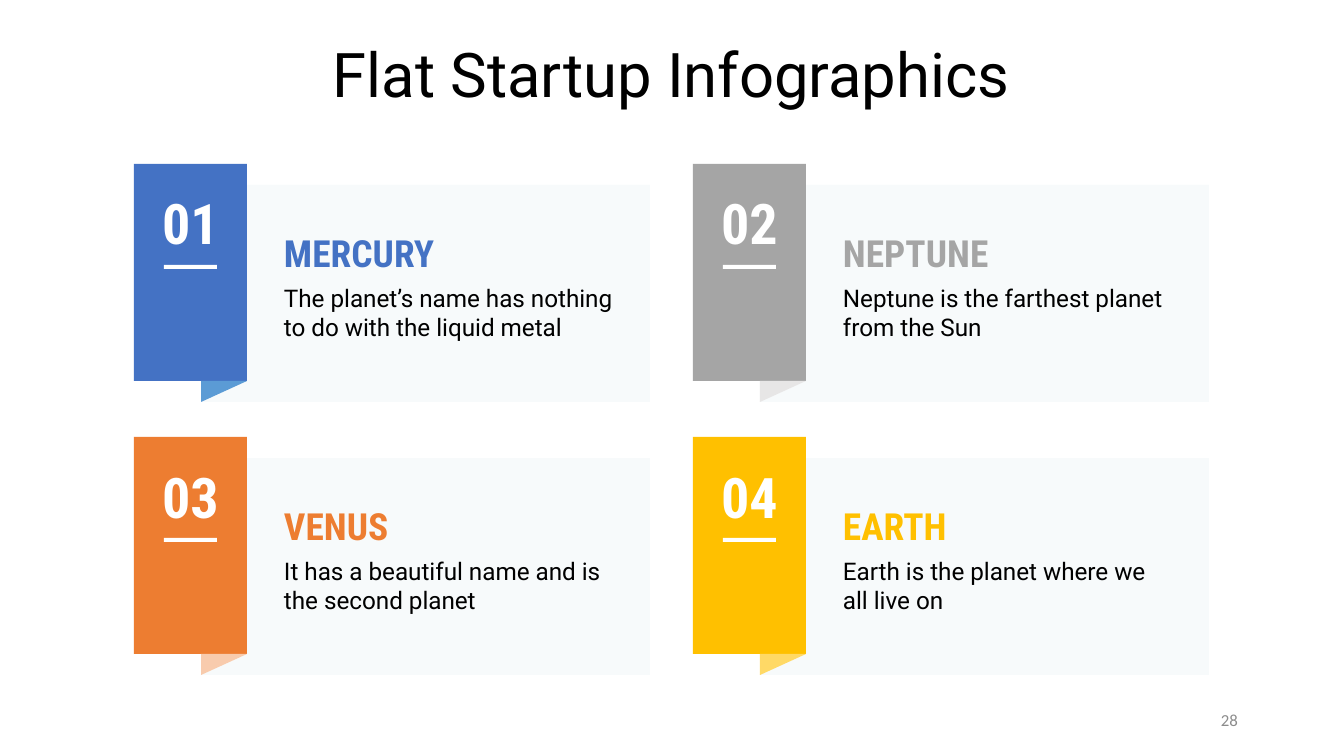
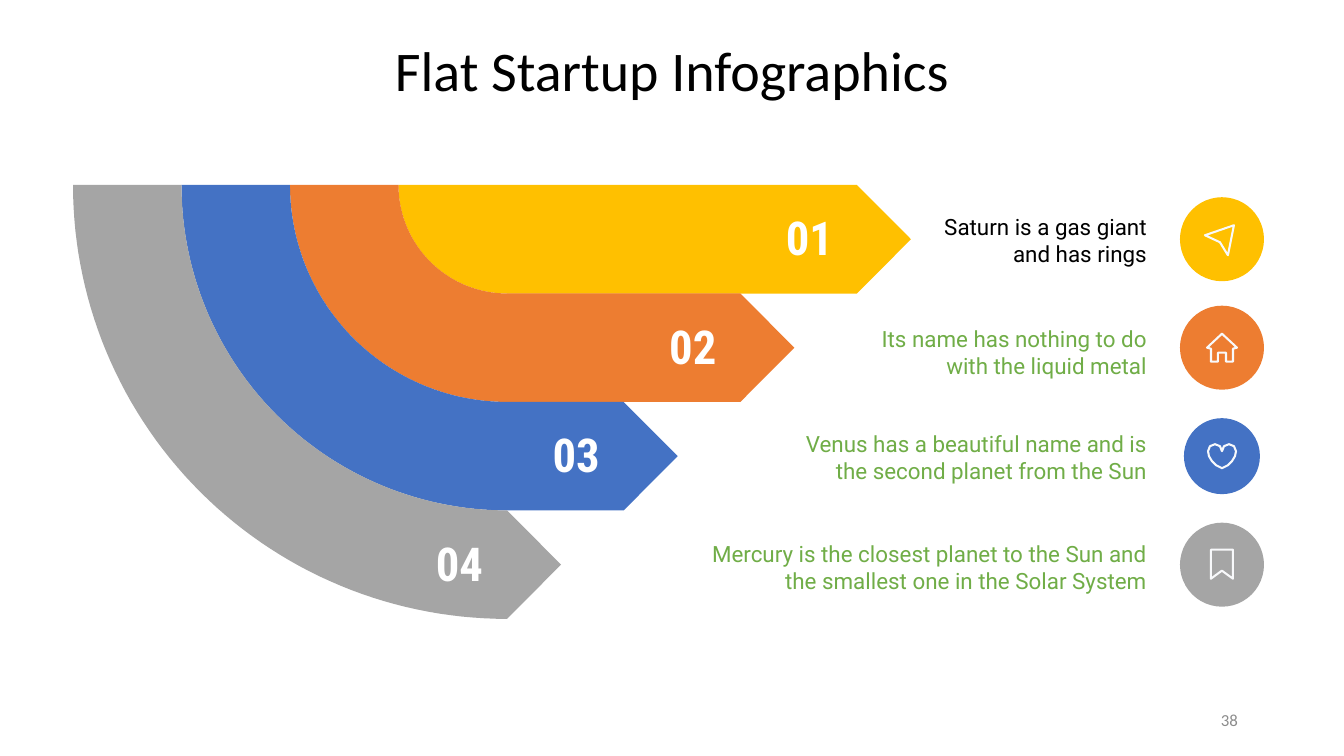
import math

import pptx
import pptx.dml.color
import pptx.enum.shapes
import pptx.enum.text
import pptx.oxml.ns
import pptx.util
from lxml import etree

PX = 914400 / 134.4
SLIDE_WIDTH, SLIDE_HEIGHT = 1344, 756
INSET = 13

BLACK, WHITE, GREEN = "000000", "FFFFFF", "70AD47"
BLUE, GRAY, ORANGE, YELLOW = "4472C4", "A5A5A5", "ED7D31", "FFC000"
PANEL, ICON_LINE, PAGE_GRAY = "F7FAFB", "F8F9FB", "8C8C8C"

LEFT = pptx.enum.text.PP_ALIGN.LEFT
CENTER = pptx.enum.text.PP_ALIGN.CENTER
RIGHT = pptx.enum.text.PP_ALIGN.RIGHT

STYLES = {
    "title": {"name": "Roboto", "size": 33},
    "plain title": {"name": "Calibri", "size": 30},
    "page": {"name": "Calibri", "size": 9},
    "card number": {"name": "Roboto Condensed", "size": 30, "bold": True},
    "card heading": {"name": "Roboto Condensed", "size": 20, "bold": True},
    "card body": {"name": "Roboto", "size": 13},
    "band number": {"name": "Roboto Condensed", "size": 25, "bold": True},
    "band body": {"name": "Roboto", "size": 12},
}

# number, heading, text, tab colour, fold colour
CARDS = [
    ("01", "MERCURY", "The planet’s name has nothing to do with the liquid metal",
     BLUE, "5B9BD5"),
    ("02", "NEPTUNE", "Neptune is the farthest planet from the Sun",
     GRAY, "E7E6E6"),
    ("03", "VENUS", "It has a beautiful name and is the second planet",
     ORANGE, "F8CBAD"),
    ("04", "EARTH", "Earth is the planet where we all live on",
     YELLOW, "FFD966"),
]

# Icon outlines, measured from the centre of their disc
PLANE = [(12, -14), (6, 16), (-2, 3), (-17, -4)]
HALF_HOUSE = [(0, -14), (15, 0), (11, 1), (11, 14), (4, 14), (4, 5)]
HALF_HEART = [(0, -5), (2, -10), (7, -12), (12, -10), (14, -5), (13, 0),
              (10, 5), (6, 9), (0, 12)]
HALF_BOOKMARK = [(0, -15), (11, -15), (11, 14), (0, 6)]


def mirrored(half):
    return half + [(-x, y) for x, y in reversed(half)]


# number, text, text colour, text top, text width, band colour, disc size, icon
BANDS = [
    ("01", "Saturn is a gas giant and has rings",
     BLACK, 200, 249, YELLOW, 84, PLANE),
    ("02", "Its name has nothing to do with the liquid metal",
     GREEN, 312, 312, ORANGE, 84, mirrored(HALF_HOUSE)),
    ("03", "Venus has a beautiful name and is the second planet from the Sun",
     GREEN, 417, 387, BLUE, 76, mirrored(HALF_HEART)),
    ("04", "Mercury is the closest planet to the Sun and the smallest one in the Solar System",
     GREEN, 527, 476, GRAY, 84, mirrored(HALF_BOOKMARK)),
]


def emu(length):
    return round(length * PX)


def color(value):
    return pptx.dml.color.RGBColor.from_string(value)


def fill_shape(shape, fill):
    shape.shadow.inherit = False
    shape.fill.solid()
    shape.fill.fore_color.rgb = color(fill)
    shape.line.fill.background()


def add_preset(slide, kind, box, fill):
    shape = slide.shapes.add_shape(kind, *map(emu, box))
    fill_shape(shape, fill)


def add_outline(slide, points):
    corners = [(emu(x), emu(y)) for x, y in points]
    builder = slide.shapes.build_freeform(*corners[0])
    builder.add_line_segments(corners[1:], close=True)
    return builder.convert_to_shape()


def add_polygon(slide, points, fill):
    fill_shape(add_outline(slide, points), fill)


def add_text(slide, box, text, style, ink, align=LEFT, inset_y=INSET,
             anchor=pptx.enum.text.MSO_ANCHOR.TOP, spacing=None):
    frame = slide.shapes.add_textbox(*map(emu, box)).text_frame
    layout = {"word_wrap": True, "vertical_anchor": anchor,
              "margin_left": emu(INSET), "margin_right": emu(INSET),
              "margin_top": emu(inset_y), "margin_bottom": emu(inset_y)}
    for attribute, value in layout.items():
        setattr(frame, attribute, value)
    paragraph = frame.paragraphs[0]
    paragraph.alignment = align
    paragraph.line_spacing = spacing
    run = paragraph.add_run()
    run.text = text
    run.font.color.rgb = color(ink)
    font = STYLES[style] | {"size": pptx.util.Pt(STYLES[style]["size"])}
    for attribute, value in font.items():
        setattr(run.font, attribute, value)


def add_frame(deck, title_style, title_box, page):
    """Start a slide with its title and page number."""
    slide = deck.slides.add_slide(deck.slide_layouts[6])
    add_text(slide, title_box, "Flat Startup Infographics", title_style, BLACK,
             CENTER, spacing=0.9)
    add_text(slide, (949, 700, 302, 40), page, "page", PAGE_GRAY, RIGHT,
             inset_y=7, anchor=pptx.enum.text.MSO_ANCHOR.MIDDLE)
    return slide


def add_card(slide, left, top, card):
    number, heading, body, tab_color, fold_color = card
    tab_width, tab_height = 113, 217
    tab_right, tab_bottom = left + tab_width, top + tab_height
    panel_right, panel_top, panel_bottom = left + 516, top + 21, top + 238
    fold_tip = (left + 67, panel_bottom)
    rectangle = pptx.enum.shapes.MSO_SHAPE.RECTANGLE

    add_polygon(slide, [(tab_right, panel_top), (tab_right, tab_bottom), fold_tip,
                        (panel_right, panel_bottom), (panel_right, panel_top)], PANEL)
    add_preset(slide, rectangle, (left, top, tab_width, tab_height), tab_color)
    add_polygon(slide, [(fold_tip[0], tab_bottom), fold_tip,
                        (tab_right, tab_bottom)], fold_color)
    add_preset(slide, rectangle, (left + 30, top + 101, 53, 4), WHITE)
    add_text(slide, (left, top + 12, tab_width, 112), number, "card number",
             WHITE, CENTER)
    add_text(slide, (left + 137, top + 53, 356, 62), heading, "card heading",
             tab_color)
    add_text(slide, (left + 137, top + 106, 356, 86), body, "card body", BLACK)


def cards_slide(deck):
    slide = add_frame(deck, "title", (255, 31, 833, 91), "28")
    for index, card in enumerate(CARDS):
        row, column = divmod(index, 2)
        add_card(slide, 134 + 559 * column, 164 + 273 * row, card)


def quarter_arc(center_x, center_y, radius, steps=60):
    """Points from the left of the centre round to straight below it."""
    angles = [math.pi / 2 * step / steps for step in range(steps + 1)]
    return [(center_x - radius * math.cos(angle), center_y + radius * math.sin(angle))
            for angle in angles]


def add_band(slide, center_x, top, inner, outer, end, number, fill):
    """Quarter ring that runs on into an arrow whose straight part stops at end."""
    tip = (end + 54, top + (inner + outer) / 2)
    points = quarter_arc(center_x, top, outer)
    points += [(end, top + outer), tip, (end, top + inner)]
    points += reversed(quarter_arc(center_x, top, inner))
    add_polygon(slide, points, fill)
    add_text(slide, (end - 95, top + inner + 11, 95, 108), number, "band number",
             WHITE, CENTER)


def add_icon(slide, center_x, center_y, size, fill, icon):
    add_preset(slide, pptx.enum.shapes.MSO_SHAPE.OVAL,
               (center_x - size / 2, center_y - size / 2, size, size), fill)
    symbol = add_outline(slide, [(center_x + x, center_y + y) for x, y in icon])
    symbol.shadow.inherit = False
    symbol.fill.background()
    symbol.line.color.rgb = color(ICON_LINE)
    symbol.line.width = pptx.util.Pt(1.1)
    etree.SubElement(symbol.line._get_or_add_ln(), pptx.oxml.ns.qn("a:round"))


def bands_slide(deck):
    slide = add_frame(deck, "plain title", (340, 30, 664, 91), "38")
    center_x, top, radius, reach = 507, 185, 434, 350
    thickness = radius / len(BANDS)
    for index, band in enumerate(BANDS):
        number, body, ink, body_top, body_width, fill, disc, icon = band
        inner = thickness * index
        end = center_x + reach * (1 - index / (len(BANDS) - 1))
        add_band(slide, center_x, top, inner, inner + thickness, end, number, fill)
        add_text(slide, (1160 - body_width, body_top, body_width, 77), body,
                 "band body", ink, RIGHT)
        add_icon(slide, 1222, top + inner + thickness / 2, disc, fill, icon)


def main():
    deck = pptx.Presentation()
    deck.slide_width, deck.slide_height = emu(SLIDE_WIDTH), emu(SLIDE_HEIGHT)
    cards_slide(deck)
    bands_slide(deck)
    deck.save("out.pptx")


if __name__ == "__main__":
    main()
